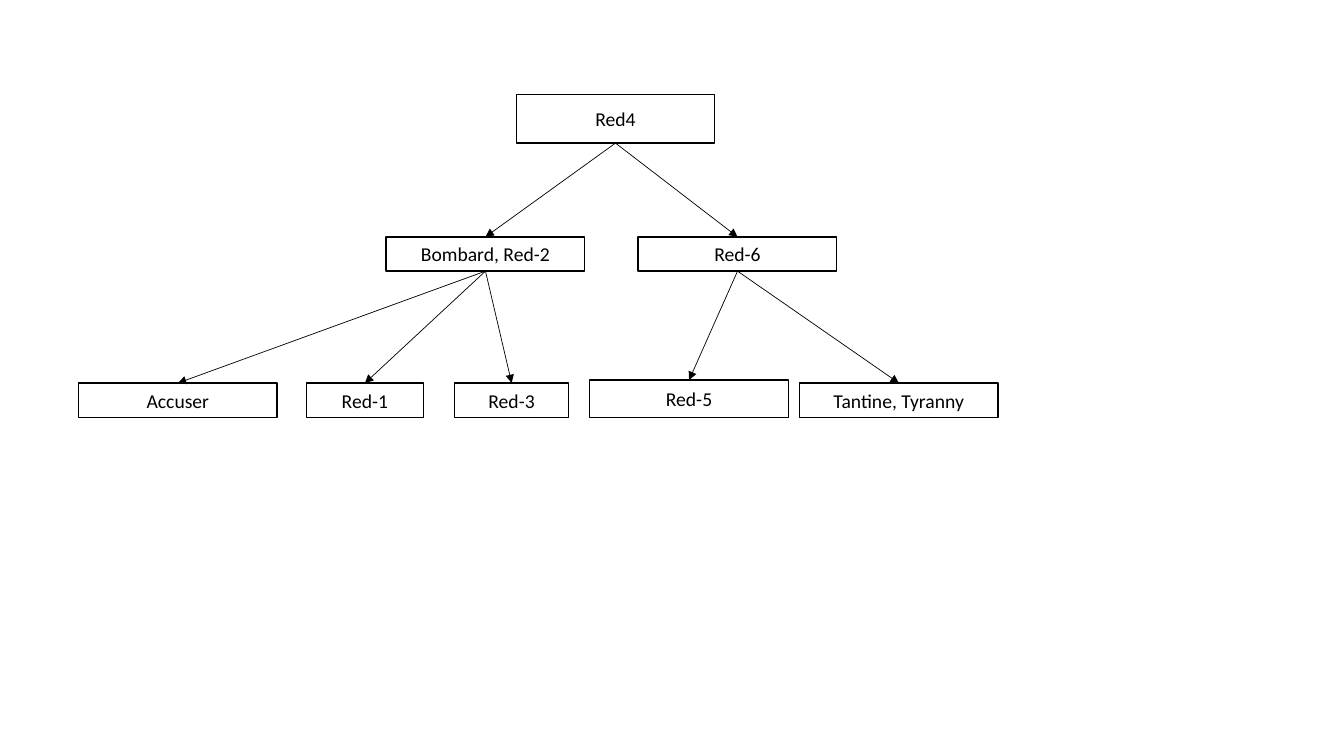
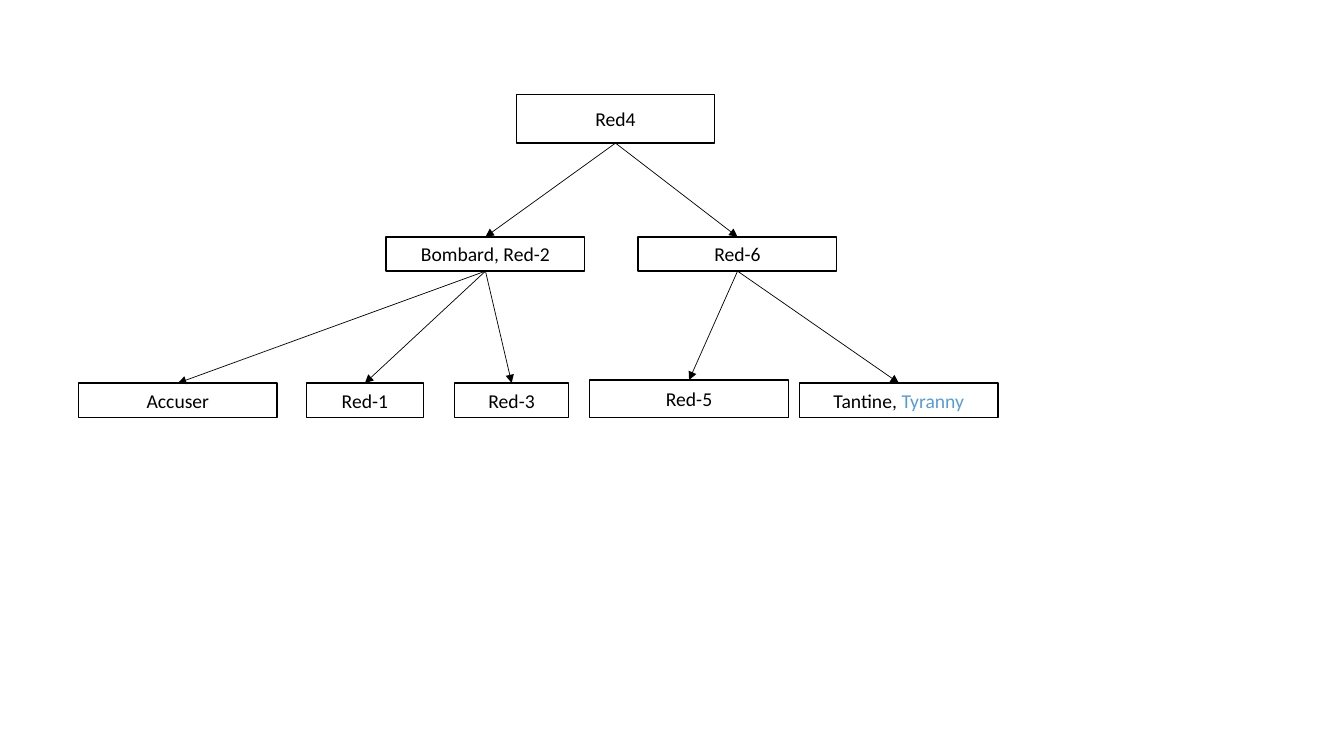
from lxml import etree
from pptx import Presentation
from pptx.dml.color import RGBColor
from pptx.enum import shapes, text
from pptx.oxml import ns
from pptx.util import Inches, Pt

BLACK, WHITE, BLUE = "000000", "FFFFFF", "5B9BD5"
FONT, FONT_SIZE = "Calibri", 14
BOX_WIDTH, BOX_HEIGHT = 1.97, 0.34
LEAF_TOP = 3.8
TOP_SITE, BOTTOM_SITE = 0, 2

BOXES = {
    "Red4": (5.12, 0.94, BOX_WIDTH, 0.48),
    "Bombard, Red-2": (3.83, 2.35, BOX_WIDTH, BOX_HEIGHT),
    "Red-6": (6.33, 2.35, BOX_WIDTH, BOX_HEIGHT),
    "Accuser": (0.78, LEAF_TOP, BOX_WIDTH, BOX_HEIGHT),
    "Red-1": (3.04, LEAF_TOP, 1.16, BOX_HEIGHT),
    "Red-3": (4.51, LEAF_TOP, 1.13, BOX_HEIGHT),
    "Red-5": (5.85, 3.77, BOX_WIDTH, 0.37),
    "Tantine, Tyranny": (7.93, LEAF_TOP, BOX_WIDTH, BOX_HEIGHT),
}
CHILDREN = {
    "Red4": ["Bombard, Red-2", "Red-6"],
    "Bombard, Red-2": ["Accuser", "Red-1", "Red-3"],
    "Red-6": ["Red-5", "Tantine, Tyranny"],
}
SLIDE_HIGHLIGHTS = [
    {},
    {"Tantine, Tyranny": [("Tantine, ", BLACK), ("Tyranny", BLUE)]},
]


def color(value):
    return RGBColor.from_string(value)


def add_text(paragraph, content, size=FONT_SIZE, font=FONT, fill=BLACK):
    run = paragraph.add_run()
    run.text = content
    run.font.size = Pt(size)
    run.font.name = font
    run.font.color.rgb = color(fill)


def add_box(slide, position, runs):
    shape = slide.shapes.add_shape(
        shapes.MSO_SHAPE.RECTANGLE, *(Inches(length) for length in position))
    shape.shadow.inherit = False
    shape.fill.solid()
    shape.fill.fore_color.rgb = color(WHITE)
    shape.line.color.rgb = color(BLACK)
    shape.line.width = Pt(1)
    shape.text_frame.word_wrap = True
    shape.text_frame.vertical_anchor = text.MSO_ANCHOR.MIDDLE
    paragraph = shape.text_frame.paragraphs[0]
    paragraph.alignment = text.PP_ALIGN.CENTER
    for content, fill in runs:
        add_text(paragraph, content, fill=fill)
    return shape


def add_arrow(slide, parent, child):
    connector = slide.shapes.add_connector(shapes.MSO_CONNECTOR.STRAIGHT, 0, 0, 0, 0)
    connector.begin_connect(parent, BOTTOM_SITE)
    connector.end_connect(child, TOP_SITE)
    connector.line.color.rgb = color(BLACK)
    connector.line.width = Pt(0.5)
    outline = connector.line._get_or_add_ln()
    etree.SubElement(outline, ns.qn("a:tailEnd"), type="triangle")
    etree.SubElement(connector._element.spPr, ns.qn("a:effectLst"))


def add_tree(slide, highlights):
    boxes = {
        name: add_box(slide, position, highlights.get(name, [(name, BLACK)]))
        for name, position in BOXES.items()
    }
    for parent, children in CHILDREN.items():
        for child in children:
            add_arrow(slide, boxes[parent], boxes[child])


presentation = Presentation()
presentation.slide_width = Inches(13.33)
presentation.slide_height = Inches(7.5)
blank_layout = presentation.slide_layouts[6]
for highlights in SLIDE_HIGHLIGHTS:
    add_tree(presentation.slides.add_slide(blank_layout), highlights)
presentation.save("out.pptx")
